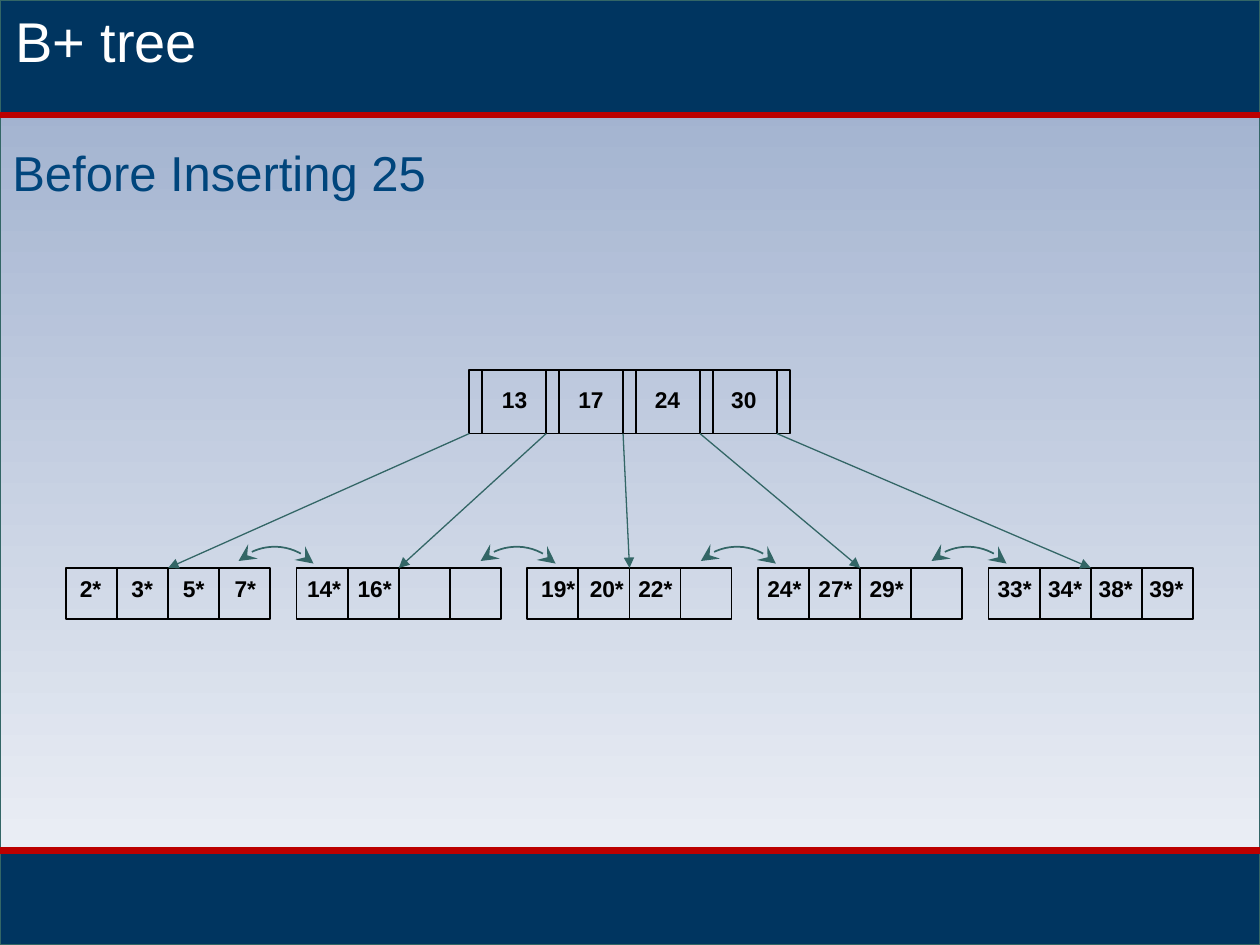
import math

from pptx import Presentation
from pptx import util as u
from pptx.dml.color import RGBColor
from pptx.enum import shapes, text
from pptx.oxml.ns import qn
from lxml import etree

NAVY = RGBColor(0x00, 0x35, 0x60)
RED = RGBColor(0xBC, 0x00, 0x00)
TEAL = RGBColor(0x33, 0x66, 0x66)
BLUE = RGBColor(0x00, 0x45, 0x7C)
SKY = RGBColor(0x99, 0xAB, 0xCB)
MIST = RGBColor(0xF3, 0xF5, 0xF9)
WHITE = RGBColor(0xFF, 0xFF, 0xFF)
BLACK = RGBColor(0x00, 0x00, 0x00)

WIDTH, HEIGHT = 25.4, 19.05
HEADER, FOOTER = 2.32, 17.15

ROOT_KEYS = ["13", "17", "24", "30"]
ROOT_X, ROOT_Y, ROOT_STEP, ROOT_H, POINTER_W = 9.46, 7.46, 1.55, 1.28, 0.26
ROOT_KEY_X, ROOT_KEY_STEP, ROOT_KEY_W = 9.87, 1.54, 1.02
LEAVES = [
    (1.36, 1.04, 0.94, ["2*", "3*", "5*", "7*"]),
    (5.94, 1.02, 1.19, ["14*", "16*"]),
    (10.66, 0.98, 1.19, ["19*", "20*", "22*"]),
    (15.22, 1.03, 1.19, ["24*", "27*", "29*"]),
    (19.86, 1.02, 1.19, ["33*", "34*", "38*", "39*"]),
]
LEAF_X, LEAF_Y, LEAF_STEP, CELL = 1.33, 11.45, 4.65, 1.03
SIBLING_X = [5.03, 9.91, 14.35, 19.0]
SIBLING_Y, SIBLING_R = 10.8, 1.07


def write(tf, content, size=13, color=BLACK, bold=False, wrap=False):
    tf.word_wrap = wrap
    tf.auto_size = text.MSO_AUTO_SIZE.SHAPE_TO_FIT_TEXT
    tf.vertical_anchor = text.MSO_ANCHOR.TOP
    p = tf.paragraphs[0]
    p.alignment = text.PP_ALIGN.LEFT
    r = p.add_run()
    r.text = content
    r.font.name = "Arial"
    r.font.size = u.Pt(size)
    r.font.bold = bold
    r.font.color.rgb = color


class Canvas:
    def __init__(self, s):
        self.s = s

    def stroke(self, sp, color, width, size="med", **ends):
        sp.line.color.rgb = color
        sp.line.width = u.Pt(width)
        ln = sp.line._get_or_add_ln()
        for tag in ("headEnd", "tailEnd"):
            if tag in ends:
                etree.SubElement(ln, qn("a:" + tag), type=ends[tag], w=size, len=size)

    def rect(self, x, y, w, h, fill=None, line=BLACK, width=1):
        sp = self.s.shapes.add_shape(
            shapes.MSO_SHAPE.RECTANGLE, u.Cm(x), u.Cm(y), u.Cm(w), u.Cm(h))
        sp.shadow.inherit = False
        if fill is None:
            sp.fill.background()
        else:
            sp.fill.solid()
            sp.fill.fore_color.rgb = fill
        self.stroke(sp, line, width)
        return sp

    def backdrop(self):
        sp = self.rect(0, 0, WIDTH, HEIGHT, line=TEAL, width=0.75)
        sp.fill.gradient()
        sp.fill.gradient_angle = 270
        for stop, position, color in zip(sp.fill.gradient_stops, (0, 1), (SKY, MIST)):
            stop.position = position
            stop.color.rgb = color

    def line(self, x1, y1, x2, y2, color=TEAL, width=0.75, **ends):
        c = self.s.shapes.add_connector(
            shapes.MSO_CONNECTOR.STRAIGHT, u.Cm(x1), u.Cm(y1), u.Cm(x2), u.Cm(y2))
        self.stroke(c, color, width, **ends)
        etree.SubElement(c._element.spPr, qn("a:effectLst"))

    def sibling_link(self, x, y, radius, segments=18):
        angles = [math.pi / 2 * i / segments for i in range(segments + 1)]
        points = [(u.Cm(x + radius * math.sin(a)), u.Cm(y + radius * (1 - math.cos(a))))
                  for a in angles]
        builder = self.s.shapes.build_freeform(*points[0])
        builder.add_line_segments(points[1:], close=False)
        sp = builder.convert_to_shape()
        sp.shadow.inherit = False
        sp.fill.background()
        sp.rotation = 317
        self.stroke(sp, TEAL, 1, size="lg", headEnd="stealth", tailEnd="stealth")

    def label(self, content, x, y, w, h, **style):
        sp = self.s.shapes.add_textbox(u.Cm(x), u.Cm(y), u.Cm(w), u.Cm(h))
        write(sp.text_frame, content, **style)

    def keys(self, names, x, y, step, w):
        for i, name in enumerate(names):
            self.label(name, x + i * step, y, w, 0.81, bold=True)

    def title(self, content, x, y, w, h, **style):
        sp = self.s.shapes.title
        sp.left, sp.top, sp.width, sp.height = u.Cm(x), u.Cm(y), u.Cm(w), u.Cm(h)
        write(sp.text_frame, content, **style)
        self.s.shapes._spTree.append(sp._element)


def draw_frame(canvas):
    canvas.backdrop()
    for y, h in ((FOOTER, HEIGHT - FOOTER), (0, HEADER)):
        canvas.rect(0, y, WIDTH, h, fill=NAVY, line=TEAL, width=0.75)
    for y in (HEADER, FOOTER):
        canvas.line(0, y, WIDTH, y, color=RED, width=3.75)
    canvas.title("B+ tree", 0.05, 0, 25.35, 1.63, size=32, color=WHITE, wrap=True)
    canvas.label("Before Inserting 25", 0, 2.74, WIDTH, 1.45,
                 size=28, color=BLUE, wrap=True)


def draw_tree(canvas):
    for i in range(len(ROOT_KEYS)):
        x = ROOT_X + i * ROOT_STEP
        canvas.rect(x, ROOT_Y, ROOT_STEP, ROOT_H)
        canvas.line(x + POINTER_W, ROOT_Y, x + POINTER_W, ROOT_Y + ROOT_H,
                    color=BLACK, width=1)
    canvas.rect(ROOT_X + len(ROOT_KEYS) * ROOT_STEP, ROOT_Y, POINTER_W, ROOT_H)
    canvas.keys(ROOT_KEYS, ROOT_KEY_X, 7.65, ROOT_KEY_STEP, ROOT_KEY_W)

    for i, (key_x, key_step, key_w, names) in enumerate(LEAVES):
        x = LEAF_X + i * LEAF_STEP
        for j in range(4):
            canvas.rect(x + j * CELL, LEAF_Y, CELL, CELL)
        canvas.keys(names, key_x, 11.47, key_step, key_w)
        canvas.line(ROOT_X + i * ROOT_STEP, ROOT_Y + ROOT_H,
                    x + 2 * CELL, LEAF_Y, tailEnd="triangle")

    for x in SIBLING_X:
        canvas.sibling_link(x, SIBLING_Y, SIBLING_R)


def main():
    prs = Presentation()
    prs.slide_width, prs.slide_height = u.Cm(WIDTH), u.Cm(HEIGHT)
    canvas = Canvas(prs.slides.add_slide(prs.slide_layouts[5]))
    draw_frame(canvas)
    draw_tree(canvas)
    prs.save("out.pptx")


if __name__ == "__main__":
    main()
